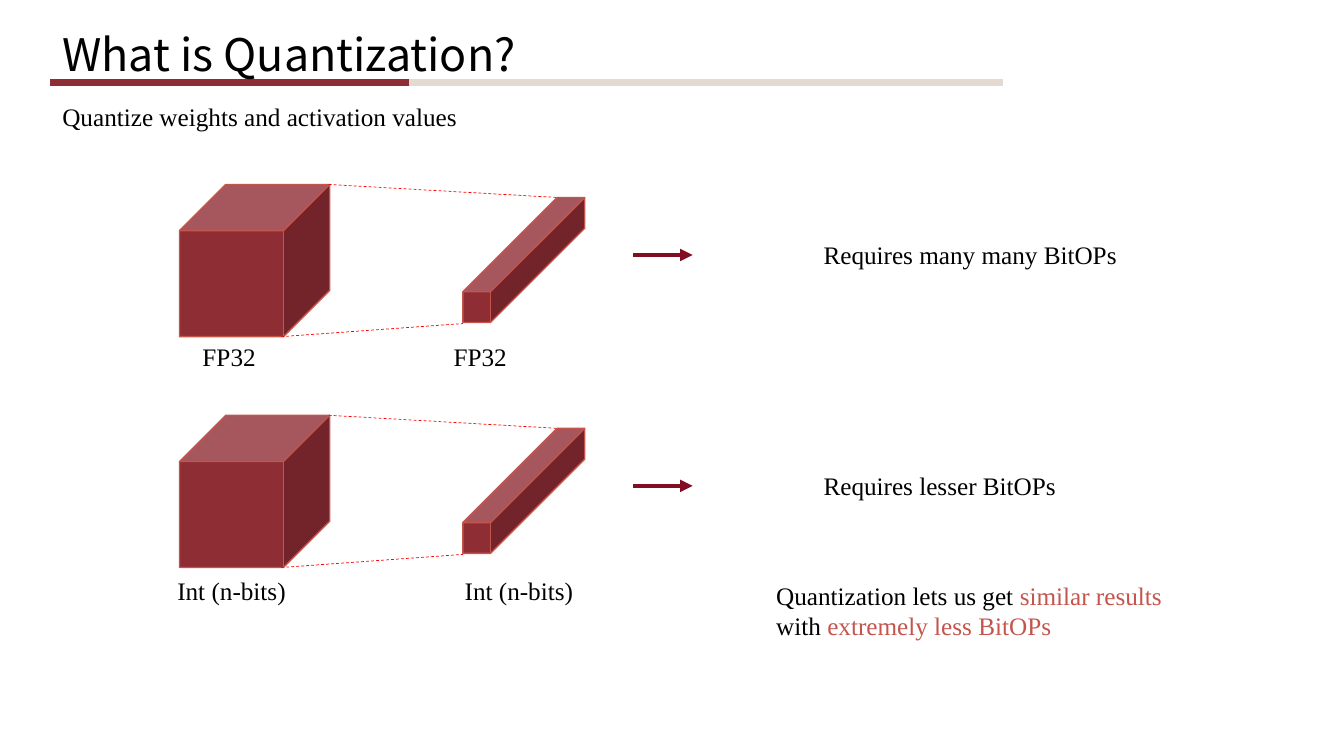
import pptx
import pptx.util
import pptx.dml.color
import pptx.enum.dml
import pptx.enum.shapes
import pptx.enum.text
import pptx.oxml.ns
import lxml.etree

WIDE, HIGH = 13.33, 7.5
RED, CORAL, BLACK = "8F2D35", "C4554D", "000000"
TITLE = "What is Quantization?"
LEAD = "Quantize weights and activation values"
RULES = [(9.95, "E3DAD1"), (4.06, RED)]
ROWS = [
    {"kind": "FP32", "span": 0.75, "spots": (1.91, 4.4), "drop": 1.51,
     "cost": "Requires many many BitOPs", "room": 3.14},
    {"kind": "Int (n-bits)", "span": 1.29, "spots": (1.66, 4.51), "drop": 1.54,
     "cost": "Requires lesser BitOPs", "room": 2.53},
]
CLOSE = [
    [("Quantization lets us get ", BLACK), ("similar results", CORAL)],
    [("with ", BLACK), ("extremely less BitOPs", CORAL)],
]
TOP, PITCH = 1.83, 2.29
CUBES = [(1.78, 0, 1.49, 1.51, 0.308), (4.59, 0.13, 1.21, 1.24, 0.773)]


def inch(*nums):
    """Turn numbers into inch lengths."""
    return [pptx.util.Inches(n) for n in nums]


def tint(code):
    """Turn a hex string into a colour."""
    return pptx.dml.color.RGBColor.from_string(code)


def write(slide, text, box, size=18, font="Times New Roman", lead=None, mid=False):
    """Add a text box from a string or from lists of coloured runs."""
    frame = slide.shapes.add_textbox(*inch(*box)).text_frame
    frame.word_wrap = False
    if mid:
        frame.vertical_anchor = pptx.enum.text.MSO_ANCHOR.MIDDLE
    lines = [[(text, BLACK)]] if isinstance(text, str) else text
    for i, line in enumerate(lines):
        para = frame.add_paragraph() if i else frame.paragraphs[0]
        para.line_spacing = lead
        for part, code in line:
            run = para.add_run()
            run.text = part
            run.font.size = pptx.util.Pt(size)
            run.font.name = font
            run.font.color.rgb = tint(code)


def draw(slide, start, end, code, width, dash=False, arrow=False):
    """Add a straight line, dashed or with an arrowhead."""
    kind = pptx.enum.shapes.MSO_CONNECTOR.STRAIGHT
    link = slide.shapes.add_connector(kind, *inch(*start, *end))
    link.line.color.rgb = tint(code)
    link.line.width = pptx.util.Pt(width)
    if dash:
        link.line.dash_style = pptx.enum.dml.MSO_LINE.DASH
    name = pptx.oxml.ns.qn
    props = link._element.spPr
    if arrow:
        edge = props.find(name("a:ln"))
        lxml.etree.SubElement(edge, name("a:tailEnd"), type="triangle")
    lxml.etree.SubElement(props, name("a:effectLst"))


def cube(slide, box, depth):
    """Add a red cube of the given depth."""
    kind = pptx.enum.shapes.MSO_SHAPE.CUBE
    block = slide.shapes.add_shape(kind, *inch(*box))
    block.adjustments[0] = depth
    block.shadow.inherit = False
    block.fill.solid()
    block.fill.fore_color.rgb = tint(RED)
    block.line.color.rgb = tint(CORAL)
    block.line.width = pptx.util.Pt(1)


def band(slide, row, top):
    """Add one row: two cubes, guide lines, labels and cost."""
    for left, down, width, height, depth in CUBES:
        cube(slide, (left, top + down, width, height), depth)
    for spot in row["spots"]:
        write(slide, row["kind"], (spot, top + row["drop"], row["span"], 0.4))
    draw(slide, (3.26, top), (5.54, top + 0.13), "FF0000", 0.5, dash=True)
    draw(slide, (2.79, top + 1.51), (4.59, top + 1.38), "FF0000", 0.5, dash=True)
    draw(slide, (6.28, top + 0.7), (6.87, top + 0.7), "820E23", 3, arrow=True)
    write(slide, row["cost"], (8.07, top + 0.5, row["room"], 0.4))


def main():
    """Build and save the slide."""
    deck = pptx.Presentation()
    deck.slide_width, deck.slide_height = inch(WIDE, HIGH)
    slide = deck.slides.add_slide(deck.slide_layouts[6])
    for end, code in RULES:
        draw(slide, (0.5, 0.82), (end, 0.82), code, 4.5)
    write(slide, TITLE, (0.52, 0.32, 7.55, 0.49), size=32,
          font="Noto Sans CJK KR", lead=0.9, mid=True)
    write(slide, LEAD, (0.52, 0.96, 4.16, 0.4))
    for i, row in enumerate(ROWS):
        band(slide, row, TOP + i * PITCH)
    write(slide, CLOSE, (7.6, 5.71, 4.07, 0.71))
    deck.save("out.pptx")


if __name__ == "__main__":
    main()
